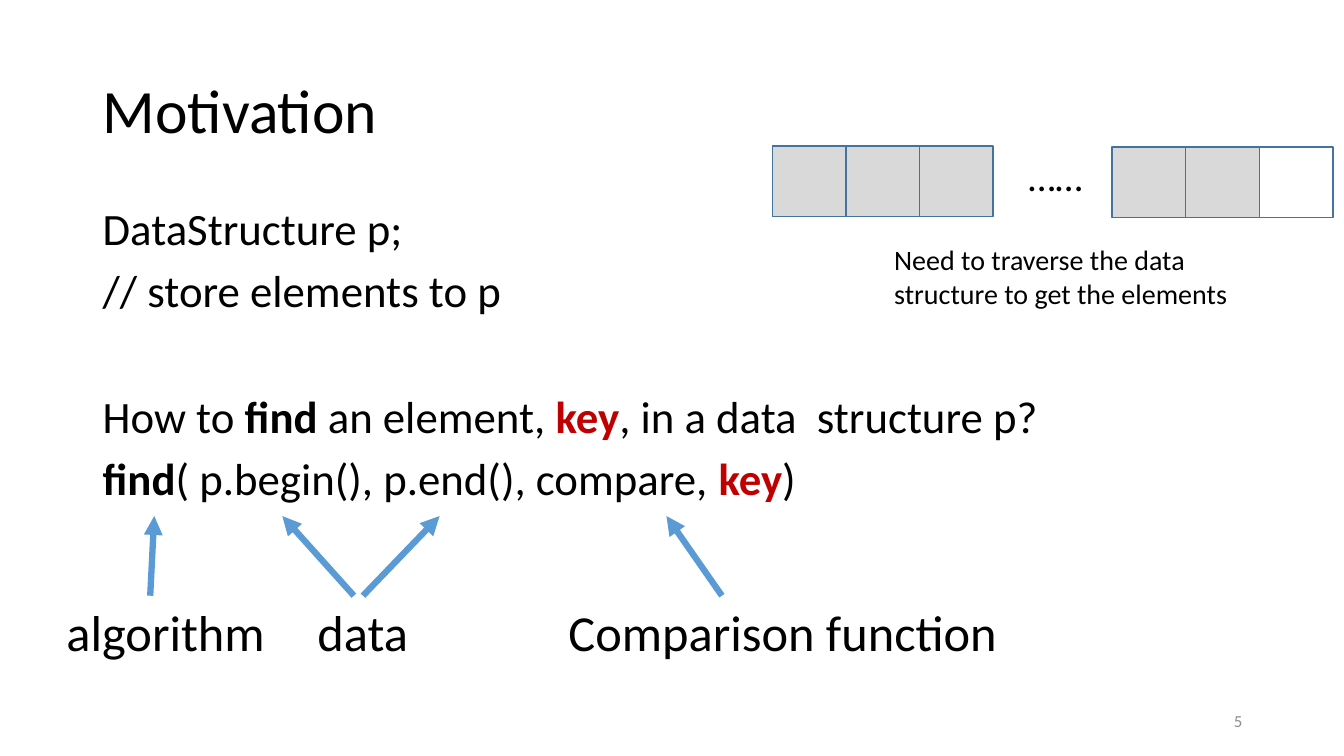
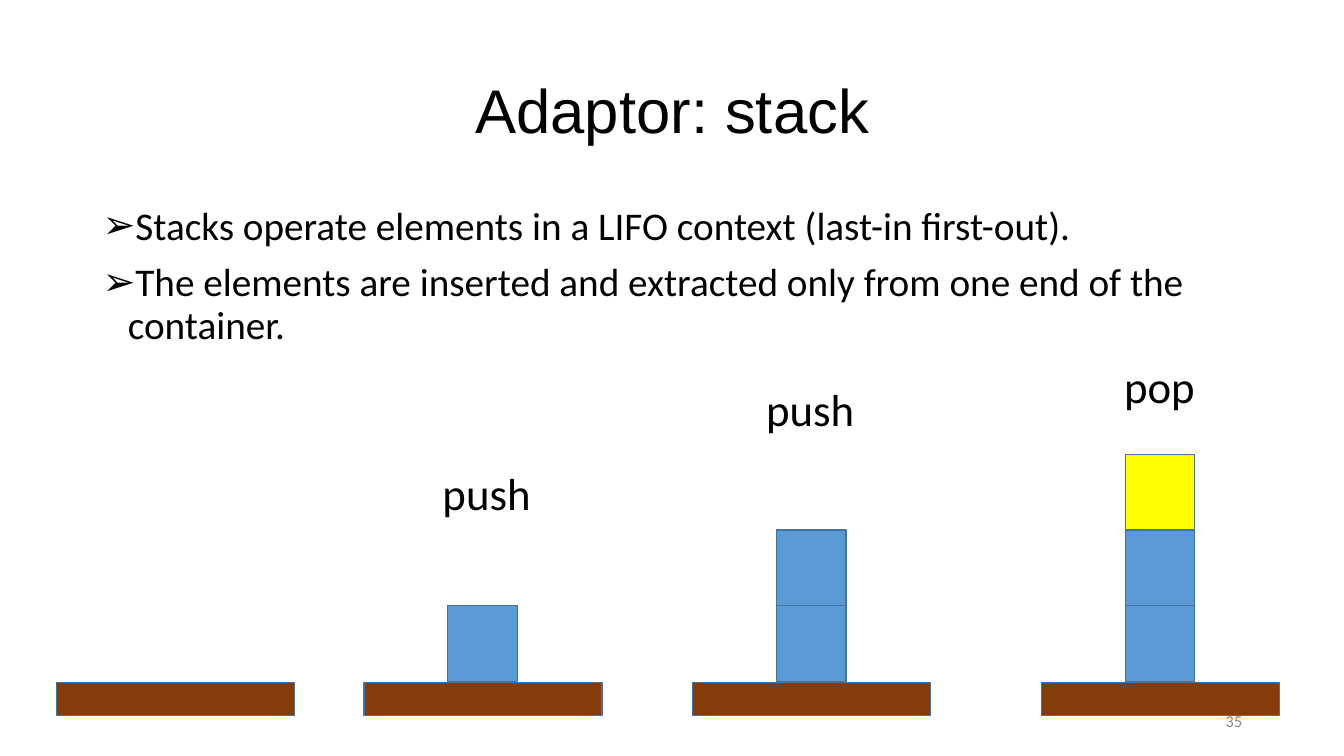
from dataclasses import dataclass

from lxml import etree
from pptx import Presentation
from pptx import util as u
from pptx.dml import color
from pptx.enum import shapes, text
from pptx.oxml import ns

PX = 9144


@dataclass(frozen=True)
class Theme:
    ink: str = "000000"
    red: str = "C00000"
    blue: str = "5B9BD5"
    edge: str = "43739E"
    gray: str = "D9D9D9"
    white: str = "FFFFFF"
    gold: str = "FFFF00"
    brown: str = "843C0B"
    mute: str = "8C8C8C"
    font: str = "Calibri"
    sans: str = "Arial"
    head: int = 44
    label: int = 36
    body: int = 32
    list: int = 28
    note: int = 20
    page: int = 12


def rgb(code):
    return color.RGBColor.from_string(code)


def child(node, tag, **keys):
    return etree.SubElement(node, ns.qn(tag), **keys)


class Deck:
    def __init__(self, theme):
        self.theme = theme
        self.file = Presentation()
        self.file.slide_width = 1333 * PX
        self.file.slide_height = 750 * PX
        self.slide = None

    def start(self, title, font=None, align=text.PP_ALIGN.LEFT):
        self.slide = self.file.slides.add_slide(self.file.slide_layouts[6])
        self.prose((92, 40, 1150, 145), [[(title,)]], self.theme.head, font=font,
                   align=align, middle=True, lead=0.9)

    def prose(self, box, lines, size, font=None, tint=None, wrap=True, middle=False,
              align=text.PP_ALIGN.LEFT, lead=None, gaps=(), bullet=None):
        frame = self.slide.shapes.add_textbox(*(n * PX for n in box)).text_frame
        frame.word_wrap = wrap
        if middle:
            frame.vertical_anchor = text.MSO_ANCHOR.MIDDLE
        for i, line in enumerate(lines):
            para = frame.add_paragraph() if i else frame.paragraphs[0]
            para.alignment = align
            if lead:
                para.line_spacing = lead
            if i and gaps:
                para.space_before = u.Pt(gaps[i - 1])
            if bullet:
                self.mark(para, bullet)
            for words, *style in line:
                run = para.add_run()
                run.text = words
                face = run.font
                face.name = font or self.theme.font
                face.size = u.Pt(size)
                face.bold = bool(style)
                shade = self.theme.red if "key" in style else tint or self.theme.ink
                face.color.rgb = rgb(shade)

    def mark(self, para, sign):
        props = para._p.get_or_add_pPr()
        props.set("marL", str(25 * PX))
        props.set("indent", str(-25 * PX))
        child(props, "a:buFont", typeface=self.theme.sans)
        child(props, "a:buChar", char=sign)

    def label(self, box, words, size):
        self.prose(box, [[(words,)]], size, wrap=False)

    def block(self, box, fill):
        rect = self.slide.shapes.add_shape(
            shapes.MSO_SHAPE.RECTANGLE, *(n * PX for n in box))
        rect.shadow.inherit = False
        rect.fill.solid()
        rect.fill.fore_color.rgb = rgb(fill)
        rect.line.color.rgb = rgb(self.theme.edge)
        rect.line.width = u.Pt(1)

    def arrow(self, *ends):
        link = self.slide.shapes.add_connector(
            shapes.MSO_CONNECTOR.STRAIGHT, *(n * PX for n in ends))
        link.line.color.rgb = rgb(self.theme.blue)
        link.line.width = u.Pt(4.5)
        child(link.line._get_or_add_ln(), "a:tailEnd", type="triangle")
        child(link._element.spPr, "a:effectLst")

    def page(self, number):
        self.prose((942, 695, 300, 40), [[(number,)]], self.theme.page,
                   tint=self.theme.mute, align=text.PP_ALIGN.RIGHT, middle=True)


def motive(deck):
    look = deck.theme
    deck.start("Motivation")
    deck.prose((92, 200, 1150, 476), [
        [("DataStructure p;",)],
        [("// store elements to p",)],
        [("How to ",), ("find", "bold"), (" an element, ",), ("key", "key"),
         (", in a data  structure p?",)],
        [("find", "bold"), ("( p.begin(), p.end(), compare, ",), ("key", "key"), (")",)],
    ], look.body, lead=0.9, gaps=(10, 55, 10))
    for left, wide, words in ((56, 219, "algorithm"), (305, 111, "data"),
                              (554, 450, "Comparison function")):
        deck.label((left, 591, wide, 71), words, look.label)
    for foot, tip in ((149, 153), (351, 280), (360, 436), (716, 661)):
        deck.arrow(foot, 591, tip, 512)
    for left, top, fills in ((766, 145, (look.gray,) * 3),
                             (1103, 146, (look.gray, look.gray, look.white))):
        for i, fill in enumerate(fills):
            deck.block((left + 73 * i, top, 73, 70), fill)
    deck.label((1010, 146, 75, 57), "……", look.list)
    deck.prose((877, 236, 387, 77),
               [[("Need to traverse the data structure to get the elements",)]], look.note)
    deck.page("5")


def stack(deck):
    look = deck.theme
    deck.start("Adaptor: stack", look.sans, text.PP_ALIGN.CENTER)
    deck.prose((92, 200, 1150, 476), [
        [("Stacks operate elements in a LIFO context (last-in first-out).",)],
        [("The elements are inserted and extracted only from one end of the container.",)],
    ], look.list, lead=0.9, gaps=(10,), bullet="➢")
    blue = look.blue
    for left, fills in ((56, ()), (361, (blue,)), (687, (blue, blue)),
                        (1033, (blue, blue, look.gold))):
        deck.block((left, 677, 236, 33), look.brown)
        for i, fill in enumerate(fills):
            deck.block((left + 83, 601 - 75 * i, 69, 75), fill)
    for left, top, wide, words in ((429, 457, 109, "push"), (750, 374, 109, "push"),
                                   (1105, 351, 91, "pop")):
        deck.label((left, top, wide, 64), words, look.body)
    deck.page("35")


def main():
    deck = Deck(Theme())
    motive(deck)
    stack(deck)
    deck.file.save("out.pptx")


if __name__ == "__main__":
    main()
